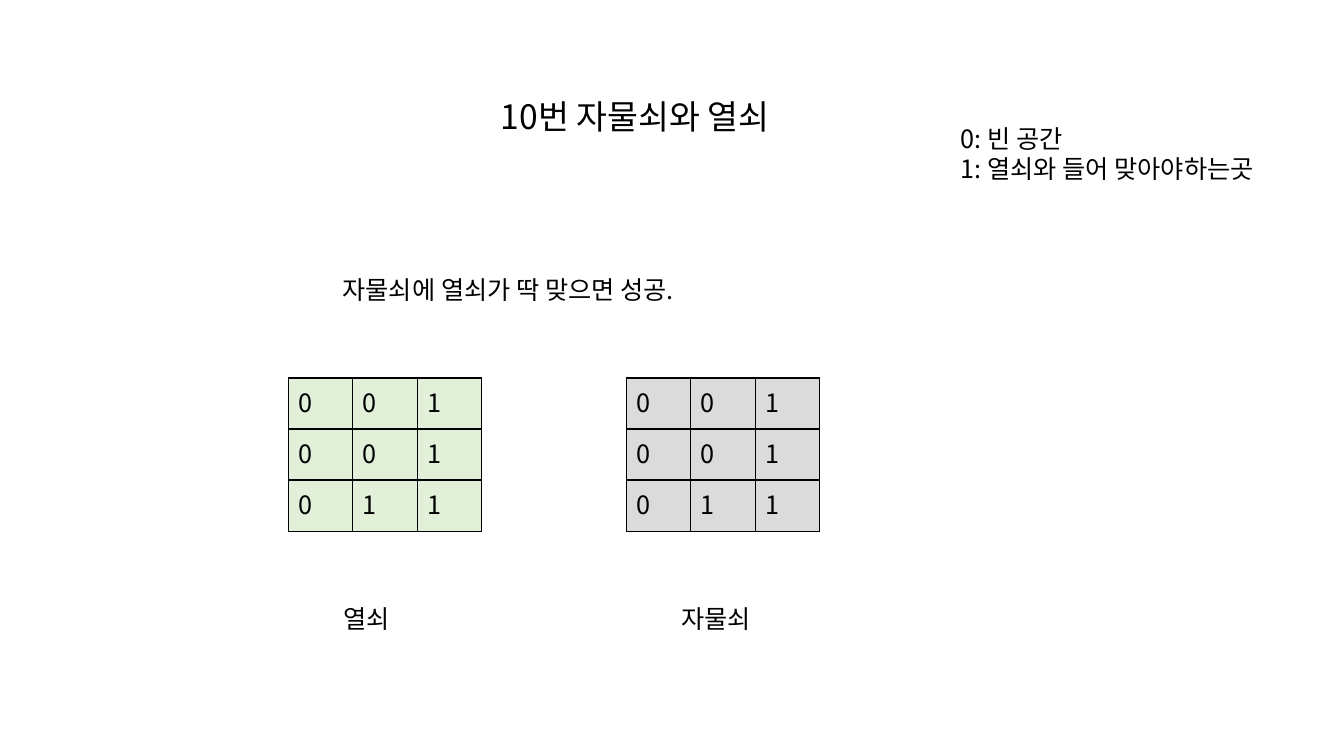
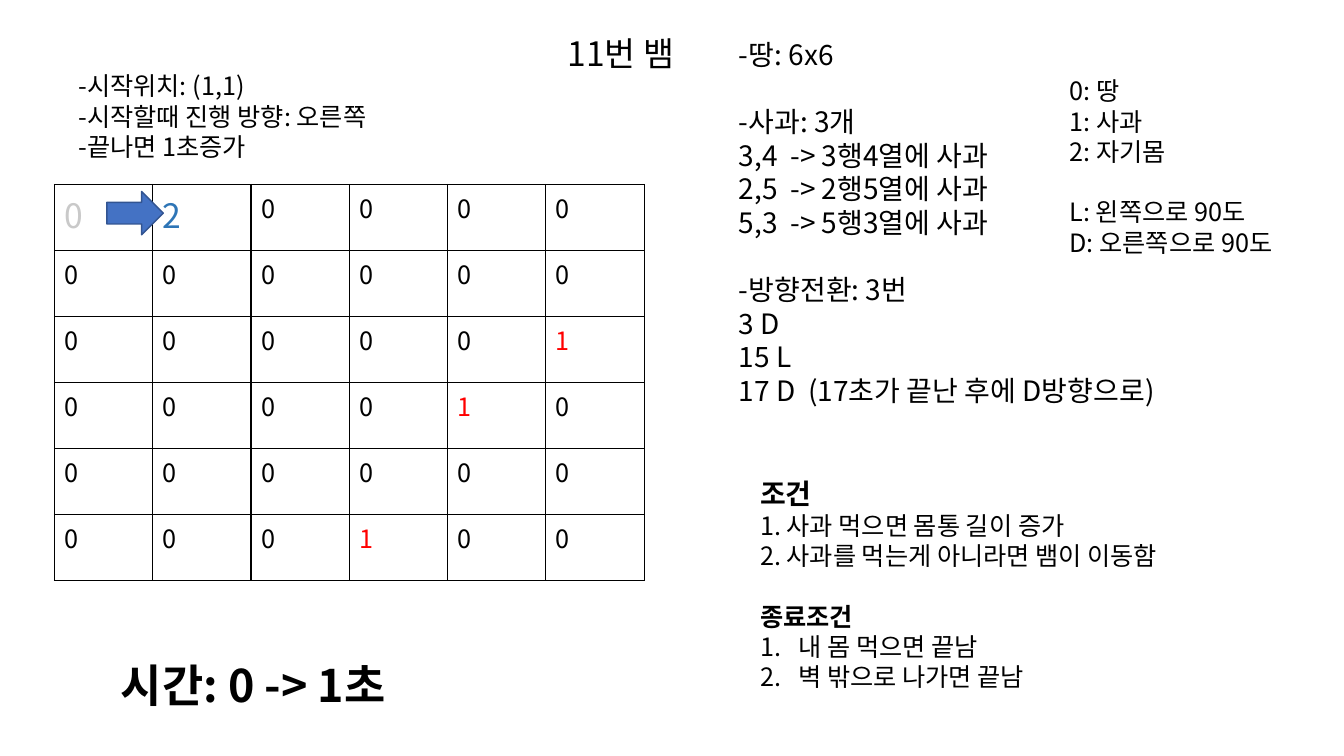
"""Builds two puzzle slides: lock and key, and snake."""
from pptx import Presentation
from pptx.dml.color import RGBColor
from pptx.enum.shapes import MSO_SHAPE
from pptx.enum.text import PP_ALIGN
from pptx.oxml.ns import qn
from pptx.util import Inches, Pt
from lxml import etree

FONT = "Noto Sans CJK KR"
COLORS = {
    "text": "000000", "lock": "DBDBDB", "key": "E2F0D9", "visited": "C9C9C9",
    "snake": "2E75B6", "apple": "FF0000", "arrow": "4472C4", "arrow_line": "325491",
}
TITLE_SIZE, BODY_SIZE, LARGE_SIZE, CLOCK_SIZE = 24, 18, 20, 32
LINE_RATIO, TITLE_RATIO = 1.2, 1.08

PATTERN = ["001", "001", "011"]
GRIDS = [("자물쇠", "lock", 6.21), ("열쇠", "key", 2.86)]
GRID_TOP, LABEL_TOP, LABEL_OFFSET = 3.75, 5.92, 0.45
LOCK_TITLE = ("10번 자물쇠와 열쇠", (1.67, 0.92, 9.26, 0.58))
LOCK_NOTES = [
    ((9.43, 1.15, 3.9, 0.71), ["0: 빈 공간", "1: 열쇠와 들어 맞아야하는곳"]),
    ((3.3, 2.65, 3.9, 0.4), ["자물쇠에 열쇠가 딱 맞으면 성공."]),
]

SNAKE_TITLE = ("11번 뱀", (1.16, 0.3, 10, 1.81))
BOARD = ["020000", "000000", "000001", "000010", "000000", "000100"]
BOARD_STYLES = {(0, 0): ("visited", TITLE_SIZE), (0, 1): ("snake", TITLE_SIZE)}
GAP, BOLD, NUMBER = "gap", "bold", "number"
SNAKE_NOTES = [
    ((10.51, 0.68, 2.49, 1.92), BODY_SIZE, [
        "0: 땅", "1: 사과", "2: 자기몸",
        ("L: 왼쪽으로 90도", GAP), "D: 오른쪽으로 90도"]),
    ((7.23, 0.3, 4.95, 3.8), LARGE_SIZE, [
        "-땅: 6x6",
        ("-사과: 3개", GAP), "3,4  -> 3행4열에 사과", "2,5  -> 2행5열에 사과",
        "5,3  -> 5행3열에 사과",
        ("-방향전환: 3번", GAP), "3 D", "15 L", "17 D  (17초가 끝난 후에 D방향으로)"]),
    ((0.68, 0.63, 3.51, 1.01), BODY_SIZE, [
        "-시작위치: (1,1)", "-시작할때 진행 방향: 오른쪽", "-끝나면 1초증가"]),
    ((7.44, 4.66, 4.95, 2.26), BODY_SIZE, [
        ("조건", BOLD, LARGE_SIZE), "1. 사과 먹으면 몸통 길이 증가",
        "2. 사과를 먹는게 아니라면 뱀이 이동함",
        ("종료조건", BOLD, GAP), ("내 몸 먹으면 끝남", NUMBER), ("벽 밖으로 나가면 끝남", NUMBER)]),
    ((1.1, 6.46, 3.98, 0.64), CLOCK_SIZE, [("시간: 0 -> 1초", BOLD)]),
]


def rgb(name):
    return RGBColor.from_string(COLORS[name])


def add_run(paragraph, content, size, color="text", bold=False):
    run = paragraph.add_run()
    run.text = content
    run.font.size, run.font.bold, run.font.name = Pt(size), bold, FONT
    run.font.color.rgb = rgb(color)
    east_asian = etree.SubElement(run.font._element, qn("a:ea"))
    east_asian.set("typeface", FONT)


def add_number(paragraph):
    properties = paragraph._p.get_or_add_pPr()
    properties.set("marL", str(Inches(0.38)))
    properties.set("indent", str(-Inches(0.38)))
    font = etree.SubElement(properties, qn("a:buFont"))
    font.set("typeface", FONT)
    number = etree.SubElement(properties, qn("a:buAutoNum"))
    number.set("type", "arabicPeriod")


def add_text(slide, box, lines, size=BODY_SIZE, ratio=LINE_RATIO, align=PP_ALIGN.LEFT):
    frame = slide.shapes.add_textbox(*map(Inches, box)).text_frame
    frame.word_wrap = True
    frame.margin_top = Inches(0.07)
    for index, line in enumerate(lines):
        content, *marks = (line,) if isinstance(line, str) else line
        line_size = next((mark for mark in marks if isinstance(mark, int)), size)
        paragraph = frame.paragraphs[0] if index == 0 else frame.add_paragraph()
        paragraph.alignment = align
        paragraph.line_spacing = Pt(line_size * ratio)
        if GAP in marks:
            paragraph.space_before = Pt(line_size * ratio)
        if NUMBER in marks:
            add_number(paragraph)
        add_run(paragraph, content, line_size, bold=BOLD in marks)


def add_title(slide, title):
    content, box = title
    add_text(slide, box, [content], TITLE_SIZE, TITLE_RATIO, PP_ALIGN.CENTER)


def add_borders(cell):
    properties = cell._tc.get_or_add_tcPr()
    for side in ("lnL", "lnR", "lnT", "lnB"):
        line = etree.SubElement(properties, qn(f"a:{side}"), w=str(Pt(1)))
        fill = etree.SubElement(line, qn("a:solidFill"))
        etree.SubElement(fill, qn("a:srgbClr"), val=COLORS["text"])


def add_grid(slide, left, top, width, height, rows, fill=None, styles=None):
    size = len(rows)
    table = slide.shapes.add_table(size, size, *map(Inches, (left, top, width, height))).table
    table.first_row = table.horz_banding = False
    for row, values in enumerate(rows):
        for column, value in enumerate(values):
            cell = table.cell(row, column)
            add_borders(cell)
            if fill:
                cell.fill.solid()
                cell.fill.fore_color.rgb = rgb(fill)
            else:
                cell.fill.background()
            default = ("apple" if styles and value == "1" else "text", BODY_SIZE)
            color, font_size = (styles or {}).get((row, column), default)
            add_run(cell.text_frame.paragraphs[0], value, font_size, color)


def build_lock(slide):
    add_title(slide, LOCK_TITLE)
    for label, fill, left in GRIDS:
        add_grid(slide, left, GRID_TOP, 1.92, 1.52, PATTERN, fill)
        add_text(slide, (left + LABEL_OFFSET, LABEL_TOP, 1.57, 0.4), [label])
    for box, lines in LOCK_NOTES:
        add_text(slide, box, lines)


def build_snake(slide):
    add_title(slide, SNAKE_TITLE)
    add_grid(slide, 0.54, 1.83, 5.85, 3.93, BOARD, styles=BOARD_STYLES)
    arrow = slide.shapes.add_shape(
        MSO_SHAPE.RIGHT_ARROW, *map(Inches, (1.06, 1.9, 0.56, 0.43)))
    arrow.shadow.inherit = False
    arrow.fill.solid()
    arrow.fill.fore_color.rgb = rgb("arrow")
    arrow.line.color.rgb = rgb("arrow_line")
    arrow.line.width = Pt(1)
    for box, size, lines in SNAKE_NOTES:
        add_text(slide, box, lines, size)


def main():
    presentation = Presentation()
    presentation.slide_width, presentation.slide_height = Inches(13.33), Inches(7.5)
    for build in (build_lock, build_snake):
        build(presentation.slides.add_slide(presentation.slide_layouts[6]))
    presentation.save("out.pptx")


if __name__ == "__main__":
    main()
